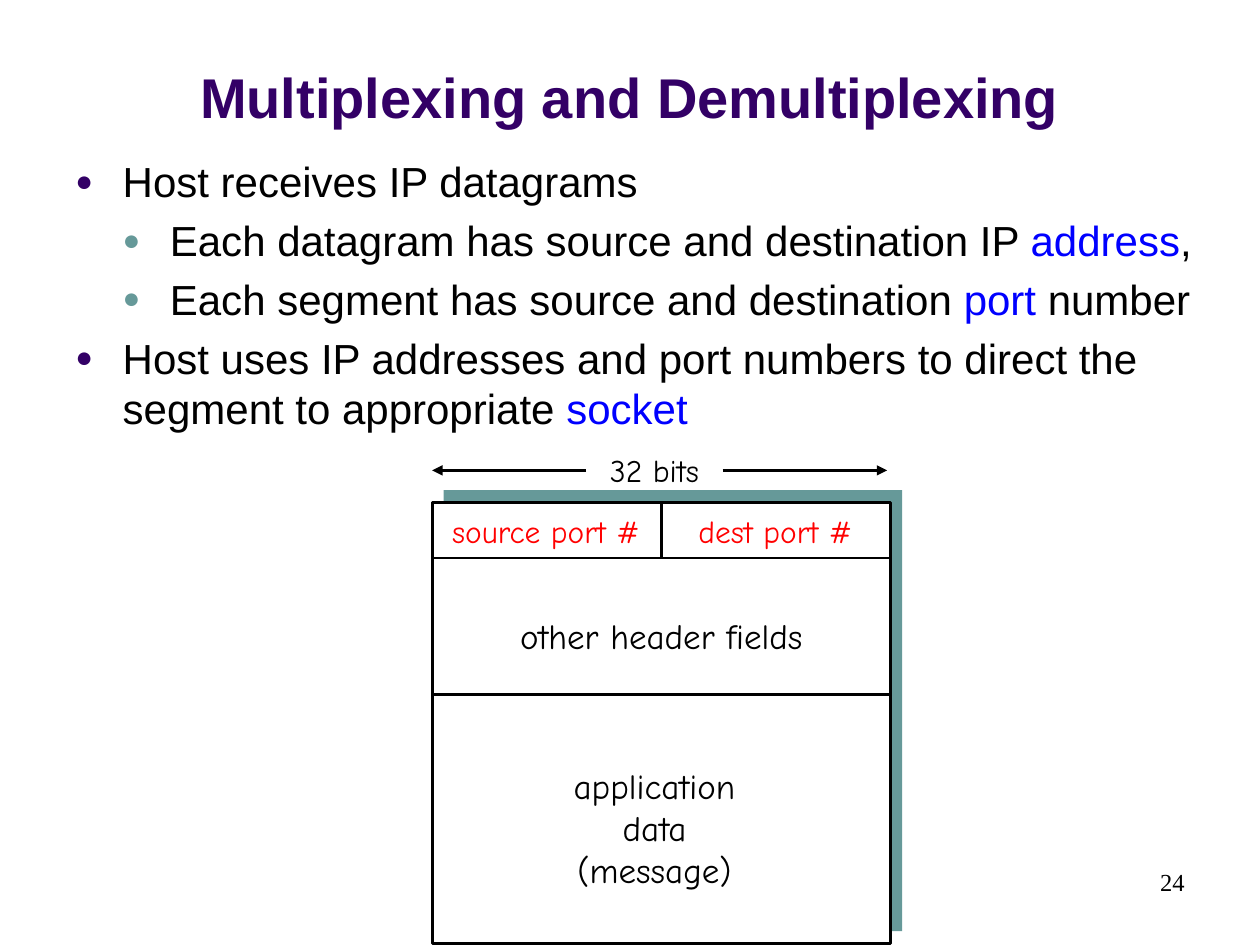
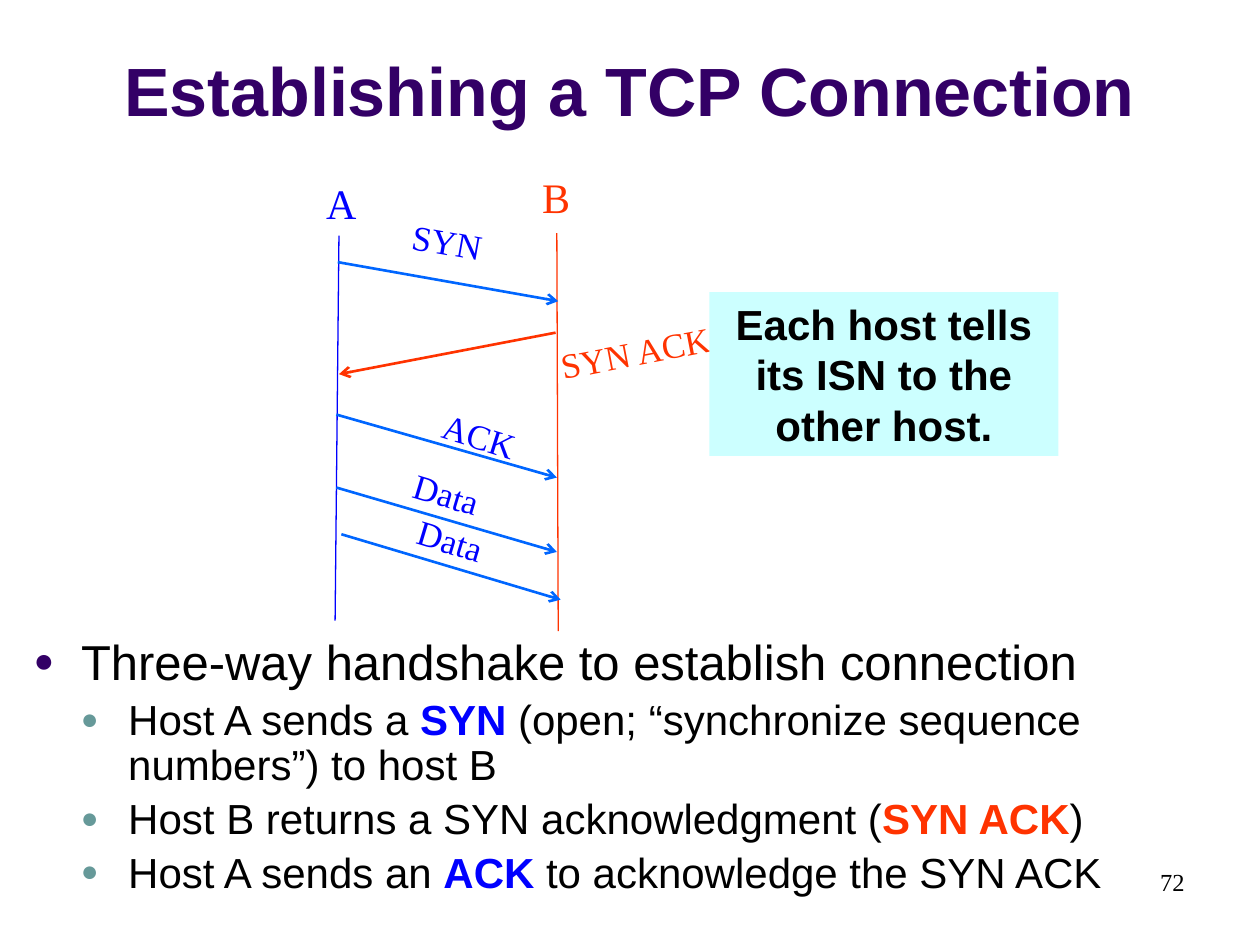
from lxml import etree
from pptx import Presentation
from pptx.dml.color import RGBColor
from pptx.enum.shapes import MSO_CONNECTOR, MSO_SHAPE
from pptx.enum.text import MSO_ANCHOR, PP_ALIGN
from pptx.oxml.ns import qn
from pptx.util import Pt

STRAIGHT = MSO_CONNECTOR.STRAIGHT
RECTANGLE = MSO_SHAPE.RECTANGLE
TOP, MIDDLE, BOTTOM = MSO_ANCHOR.TOP, MSO_ANCHOR.MIDDLE, MSO_ANCHOR.BOTTOM
LEFT, CENTER, RIGHT = PP_ALIGN.LEFT, PP_ALIGN.CENTER, PP_ALIGN.RIGHT

COLORS = {
    "title": "330066",
    "teal": "669999",
    "black": "000000",
    "white": "FFFFFF",
    "field": "FF0000",
    "blue": "0000FF",
    "arrow": "0066FF",
    "orange": "FF3300",
    "callout": "CCFFFF",
}
SANS, HAND, SERIF = "Arial", "Comic Neue", "Times New Roman"
TITLE_BOX = (0, 9.36, 720, 68.4)
NUMBER_BOX = (516.24, 491.76, 167.76, 36)
INDENT = 27
LINE_FACTOR = 1.2
BULLET_COLORS = ("title", "teal")


def rgb(name):
    return RGBColor.from_string(COLORS[name])


def add_span(para, text, font, size, color="black", bold=False):
    span = para.add_run()
    span.text = text
    span.font.name = font
    span.font.size = Pt(size)
    span.font.bold = bold
    span.font.color.rgb = rgb(color)


def add_text(page, box, lines, font, size, color="black", bold=False,
             align=CENTER, anchor=TOP, wrap=True):
    shape = page.shapes.add_textbox(*map(Pt, box))
    frame = shape.text_frame
    frame.word_wrap = wrap
    frame.vertical_anchor = anchor
    for index, line in enumerate(lines):
        para = frame.add_paragraph() if index else frame.paragraphs[0]
        para.alignment = align
        add_span(para, line, font, size, color, bold)
    return shape


def add_label(page, center, lines, font, size, color="black", width=132, rotation=0):
    height = len(lines) * size * LINE_FACTOR + 7.2
    box = (center[0] - width / 2, center[1] - height / 2, width, height)
    shape = add_text(page, box, lines, font, size, color, anchor=MIDDLE, wrap=False)
    shape.rotation = rotation


def add_line(page, start, end, color="black", width=1.5, head=None):
    line = page.shapes.add_connector(STRAIGHT, *map(Pt, (*start, *end)))
    line.line.color.rgb = rgb(color)
    line.line.width = Pt(width)
    if head:
        outline = line._element.spPr.find(qn("a:ln"))
        etree.SubElement(outline, qn("a:tailEnd"), type=head)
    etree.SubElement(line._element.spPr, qn("a:effectLst"))
    return line


def add_rectangle(page, box, fill, outline=None):
    shape = page.shapes.add_shape(RECTANGLE, *map(Pt, box))
    shape.shadow.inherit = False
    shape.fill.solid()
    shape.fill.fore_color.rgb = rgb(fill)
    if outline:
        shape.line.color.rgb = rgb(outline)
        shape.line.width = Pt(1.5)
    else:
        shape.line.fill.background()
    return shape


def set_bullet(para, level):
    props = para._p.get_or_add_pPr()
    props.set("marL", str(Pt(INDENT * (level + 1))))
    props.set("indent", str(-Pt(INDENT)))
    color = etree.SubElement(props, qn("a:buClr"))
    etree.SubElement(color, qn("a:srgbClr"), val=COLORS[BULLET_COLORS[level]])
    etree.SubElement(props, qn("a:buSzPct"), val="70000")
    etree.SubElement(props, qn("a:buFont"), typeface=SANS)
    etree.SubElement(props, qn("a:buChar"), char="●")


def add_bullets(page, box, items, spacing=1.0, bold_terms=False):
    frame = page.shapes.add_textbox(*map(Pt, box)).text_frame
    frame.word_wrap = True
    for index, (level, size, spans) in enumerate(items):
        para = frame.add_paragraph() if index else frame.paragraphs[0]
        para.alignment = LEFT
        para.level = level
        para.line_spacing = Pt(round(size * LINE_FACTOR * spacing, 1))
        para.space_before = Pt(size * 0.2)
        set_bullet(para, level)
        for text, color in spans:
            add_span(para, text, SANS, size, color, bold_terms and color != "black")


def add_page(deck, title, title_size, number):
    page = deck.slides.add_slide(deck.slide_layouts[6])
    add_text(page, TITLE_BOX, [title], SANS, title_size, "title", True, anchor=BOTTOM)
    add_text(page, NUMBER_BOX, [number], SERIF, 14, align=RIGHT)
    return page


def add_segment(page, box):
    left, top, width, height = box
    right, middle = left + width, left + width / 2
    ports_bottom, header_bottom = top + 31.5, top + 109.5
    add_rectangle(page, (left + 6.5, top - 7.2, width, height), "teal")
    segment = add_rectangle(page, box, "white", "black")
    for level in (ports_bottom, header_bottom):
        add_line(page, (left, level), (right, level))
    divider = add_line(page, (middle, top), (middle, ports_bottom))
    divider.begin_connect(segment, 0)

    add_label(page, (left + 65, top + 16), ["source port #"], HAND, 18, "field")
    add_label(page, (right - 66, top + 16), ["dest port #"], HAND, 18, "field")
    add_label(page, (middle, top + 76), ["other header fields"], HAND, 20, width=197)
    add_label(page, (middle - 4, top + 185.5), ["application", "data", "(message)"], HAND, 20)

    ruler = top - 18.5
    add_label(page, (middle - 4, ruler - 0.5), ["32 bits"], HAND, 18, width=75)
    add_line(page, (middle + 35, ruler), (right - 2, ruler), head="triangle")
    add_line(page, (middle - 43, ruler), (left, ruler), head="triangle")


def add_handshake(page, box):
    left, top, width, height = box

    def place(point):
        return left + point[0], top + point[1]

    hosts = (
        ("A", "blue", (3, 22), (1.7, 40.6), (-0.5, height - 6)),
        ("B", "orange", (width - 1.2, 18.5), (width - 0.8, 39.2), (width, height)),
    )
    for name, color, center, start, end in hosts:
        add_line(page, place(start), place(end), color, 0.75)
        add_label(page, place(center), [name], SERIF, 24, color, 32)

    messages = (
        ("SYN", "arrow", "blue", (1, 55.8), (127, 78.1), (63.6, 44), 10.1),
        ("SYN ACK", "orange", "orange", (125.5, 96.1), (1.7, 119.8), (171, 107), -10.9),
        ("ACK", "arrow", "blue", (0.2, 142.9), (126.2, 178.9), (82, 154.8), 17.4),
        ("Data", "arrow", "blue", (0.2, 184.6), (126.2, 221.4), (63.2, 188), 16.7),
        ("Data", "arrow", "blue", (3.1, 211.3), (128.4, 248.7), (65.4, 214.6), 16.7),
    )
    for text, line_color, text_color, start, end, center, rotation in messages:
        add_line(page, place(start), place(end), line_color, head="arrow")
        add_label(page, place(center), [text], SERIF, 20, text_color, rotation=rotation)


def add_callout(page, box, text):
    shape = add_rectangle(page, box, "callout")
    frame = shape.text_frame
    frame.word_wrap = True
    frame.vertical_anchor = TOP
    para = frame.paragraphs[0]
    para.alignment = CENTER
    para.line_spacing = Pt(24 * LINE_FACTOR)
    add_span(para, text, SANS, 24, bold=True)


def build_multiplexing(deck):
    page = add_page(deck, "Multiplexing and Demultiplexing", 32, "24")
    add_bullets(page, (36, 85.5, 672, 170), [
        (0, 24, [("Host receives IP datagrams", "black")]),
        (1, 24, [("Each datagram has source and destination IP ", "black"),
                 ("address", "blue"), (",", "black")]),
        (1, 24, [("Each segment has source and destination ", "black"),
                 ("port", "blue"), (" number", "black")]),
        (0, 24, [("Host uses IP addresses and port numbers to direct the "
                  "segment to appropriate ", "black"), ("socket", "blue")]),
    ])
    add_segment(page, (247, 287.3, 262, 252))


def build_connection(deck):
    page = add_page(deck, "Establishing a TCP Connection", 39, "72")
    add_bullets(page, (12.2, 360.7, 672, 170), [
        (0, 28, [("Three-way handshake to establish connection", "black")]),
        (1, 24, [("Host A sends a ", "black"), ("SYN", "blue"),
                 (" (open; “synchronize sequence numbers”) to host B", "black")]),
        (1, 24, [("Host B returns a SYN acknowledgment (", "black"),
                 ("SYN ACK", "orange"), (")", "black")]),
        (1, 24, [("Host A sends an ", "black"), ("ACK", "blue"),
                 (" to acknowledge the SYN ACK", "black")]),
    ], spacing=0.9, bold_terms=True)
    add_handshake(page, (192, 94, 127, 266.7))
    add_callout(page, (405.4, 167, 199.4, 93.6), "Each host tells its ISN to the other host.")


def main():
    deck = Presentation()
    deck.slide_width, deck.slide_height = Pt(720), Pt(540)
    build_multiplexing(deck)
    build_connection(deck)
    deck.save("out.pptx")


if __name__ == "__main__":
    main()
